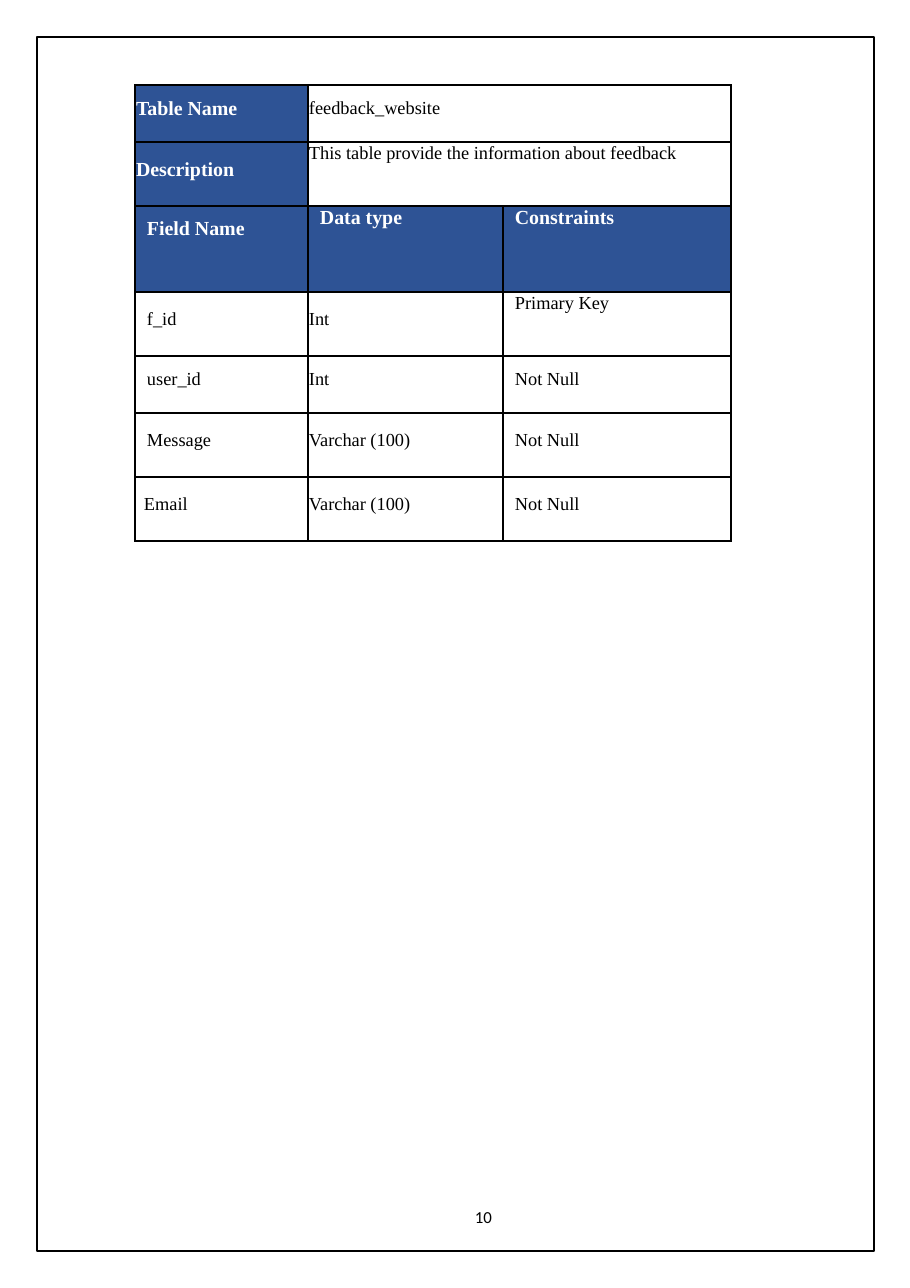
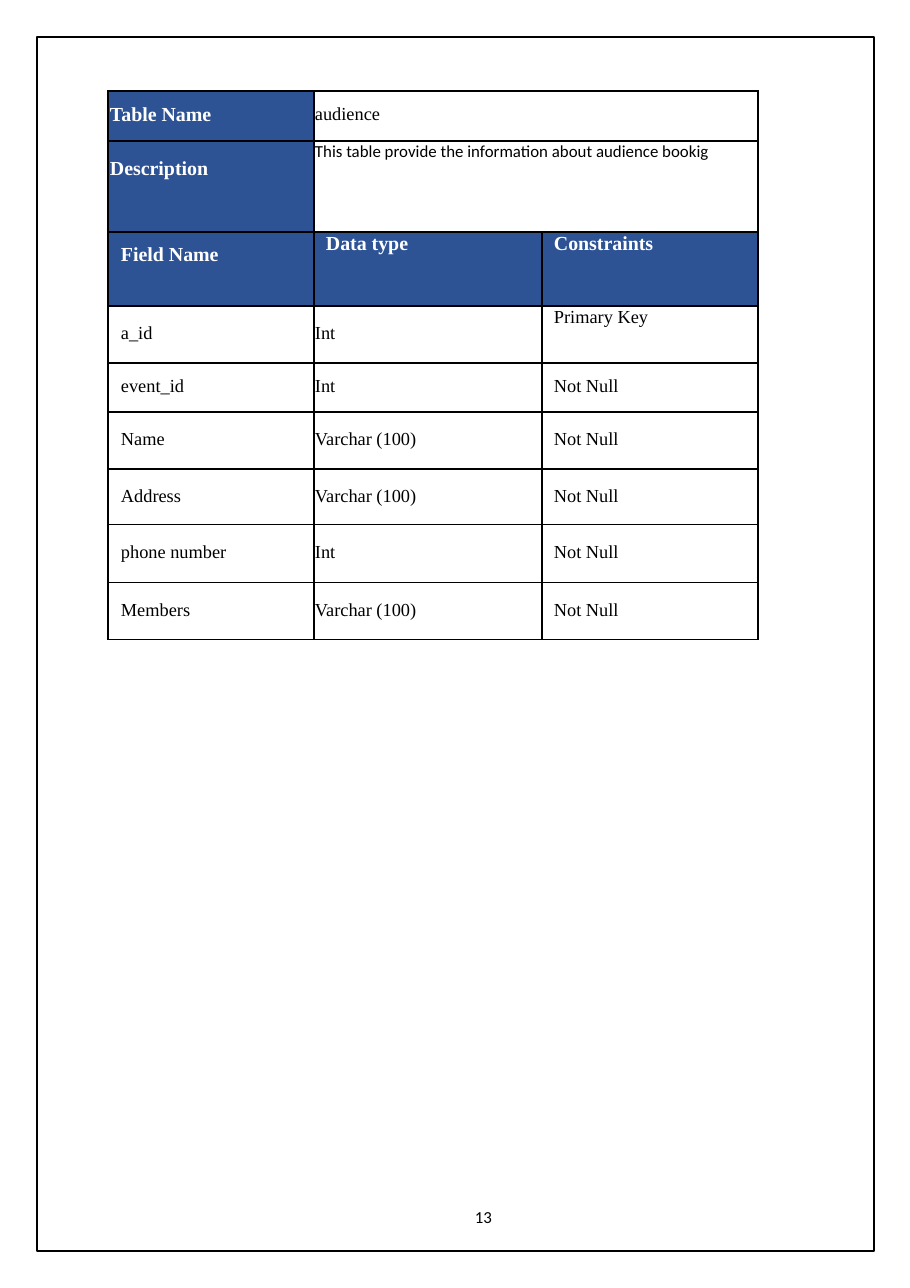
from lxml import etree
from pptx import Presentation
from pptx.dml.color import RGBColor
from pptx.enum.shapes import MSO_SHAPE as Shape
from pptx.oxml.ns import qn
from pptx.util import Emu, Pt

PX = 8298  # EMU in one px
PAGE_W, PAGE_H = 910, 1288
COLORS = {"heading": "2E5395", "on_heading": "FFFFFF", "ink": "000000"}
SERIF, SANS = "Times New Roman", "Calibri"
NO_NULL = "Not Null"
HEADINGS = ["Field Name", "Data type", "Constraints"]
HIGH, MIDDLE, LOW = 1, 13, 17  # space above the text in a cell


def px(length):
    return Emu(length * PX)


def color(key):
    return RGBColor.from_string(COLORS[key])


def style_text(paragraph, size, ink="ink", font=SERIF, bold=False):
    for run in paragraph.runs:
        run.font.name, run.font.size, run.font.bold = font, Pt(size), bold
        run.font.color.rgb = color(ink)


def add_borders(cell):
    """Draws a thin line on all four sides; lines stand before the fill."""
    properties = cell._tc.get_or_add_tcPr()
    for place, side in enumerate(("lnL", "lnR", "lnT", "lnB")):
        line = etree.Element(qn(f"a:{side}"), w=str(Pt(1)))
        fill = etree.SubElement(line, qn("a:solidFill"))
        etree.SubElement(fill, qn("a:srgbClr"), val=COLORS["ink"])
        properties.insert(place, line)


def fill_cell(cell, text, left, top, heading=False, font=SERIF):
    cell.margin_left, cell.margin_top = px(left), px(top)
    cell.margin_right = cell.margin_bottom = 0
    if heading:
        cell.fill.solid()
        cell.fill.fore_color.rgb = color("heading")
    else:
        cell.fill.background()
    cell.text_frame.text = text
    paragraph = cell.text_frame.paragraphs[0]
    if heading:
        style_text(paragraph, 13, "on_heading", bold=True)
    else:
        style_text(paragraph, 12 if font == SERIF else 11, font=font)


def draw_frame(slide, left, top, width, height):
    frame = slide.shapes.add_shape(Shape.RECTANGLE, px(left), px(top), px(width), px(height))
    frame.shadow.inherit = False
    frame.fill.background()
    frame.line.color.rgb = color("ink")
    frame.line.width = Pt(0.75)


def draw_page_number(slide, left, top, width, height, number):
    box = slide.shapes.add_textbox(px(left), px(top), px(width), px(height))
    frame = box.text_frame
    frame.margin_left = px(1)
    frame.margin_right = frame.margin_top = frame.margin_bottom = 0
    frame.text = str(number)
    frame.paragraphs[0].line_spacing = Pt(11.5)
    style_text(frame.paragraphs[0], 11, font=SANS)


def draw_definition(slide, left, top, columns, heights, name, about, fields, edge, about_font):
    """Table with name, description, column headings and one row per field."""
    table = slide.shapes.add_table(
        len(heights), len(columns), px(left), px(top), px(sum(columns)), px(sum(heights))).table
    table.first_row = table.horz_banding = False
    for column, width in zip(table.columns, columns):
        column.width = px(width)
    for row, height in zip(table.rows, heights):
        row.height = px(height)

    # Name and description
    about_top = HIGH if about_font == SERIF else 0
    summary = [("Table Name", name, MIDDLE, MIDDLE, SERIF),
               ("Description", about, LOW, about_top, about_font)]
    for row, (label, value, label_top, value_top, font) in enumerate(summary):
        table.cell(row, 1).merge(table.cell(row, 2))
        fill_cell(table.cell(row, 0), label, edge, label_top, heading=True)
        fill_cell(table.cell(row, 1), value, 1, value_top, font=font)

    # Column headings
    for column, label in enumerate(HEADINGS):
        fill_cell(table.cell(2, column), label, 12 if column else 11 + edge,
                  HIGH if column else 12, heading=True)

    # Fields
    for row, (field, kind, constraint) in enumerate(fields, start=3):
        above = MIDDLE if row == 4 else LOW
        constraint_top = HIGH if constraint == "Primary Key" else above
        field_left = 9 if field == "Email" else 11 + edge
        fill_cell(table.cell(row, 0), field, field_left, above)
        fill_cell(table.cell(row, 1), kind, 1, above)
        fill_cell(table.cell(row, 2), constraint, 12, constraint_top)

    for cell in table.iter_cells():
        add_borders(cell)


PAGES = [
    dict(number=10, left=135, top=85, columns=[173, 195, 228],
         heights=[57, 64, 86, 64, 57, 64, 64], edge=1, about_font=SERIF,
         name="feedback_website",
         about="This table provide the information about feedback",
         fields=[("f_id", "Int", "Primary Key"),
                 ("user_id", "Int", NO_NULL),
                 ("Message", "Varchar (100)", NO_NULL),
                 ("Email", "Varchar (100)", NO_NULL)]),
    dict(number=13, left=108, top=91, columns=[206, 228, 216],
         heights=[50, 91, 74, 57, 49, 57, 56, 58, 57], edge=2, about_font=SANS,
         name="audience",
         about="This table provide the information about audience bookig",
         fields=[("a_id", "Int", "Primary Key"),
                 ("event_id", "Int", NO_NULL),
                 ("Name", "Varchar (100)", NO_NULL),
                 ("Address", "Varchar (100)", NO_NULL),
                 ("phone number", "Int", NO_NULL),
                 ("Members", "Varchar (100)", NO_NULL)]),
]


def draw_page(deck, number, **definition):
    slide = deck.slides.add_slide(deck.slide_layouts[6])
    draw_frame(slide, 37, 37, PAGE_W - 73, PAGE_H - 74)
    draw_definition(slide, **definition)
    draw_page_number(slide, 474, 1209, 25, 20, number)


def main():
    deck = Presentation()
    deck.slide_width, deck.slide_height = px(PAGE_W), px(PAGE_H)
    for page in PAGES:
        draw_page(deck, **page)
    deck.save("out.pptx")


if __name__ == "__main__":
    main()
